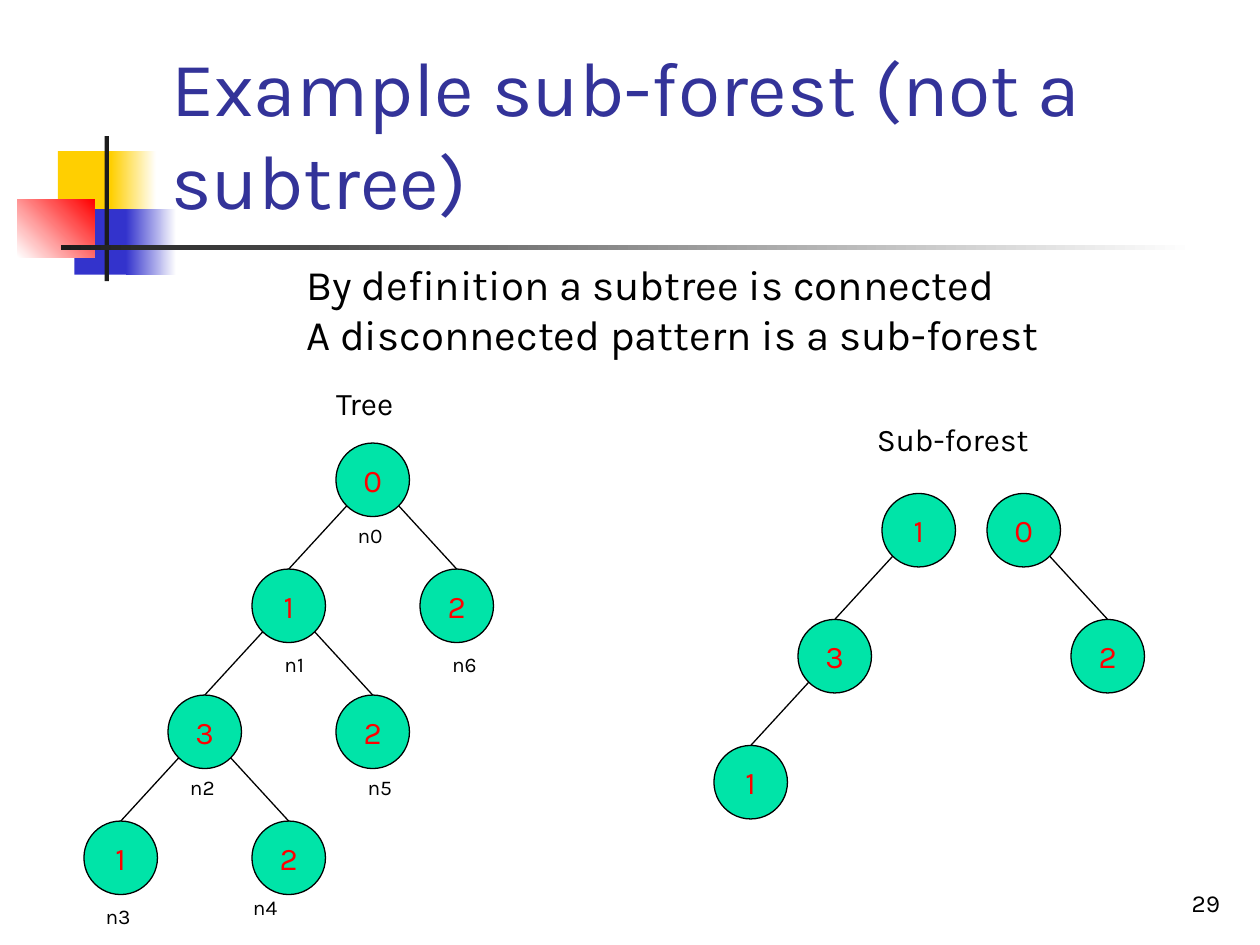
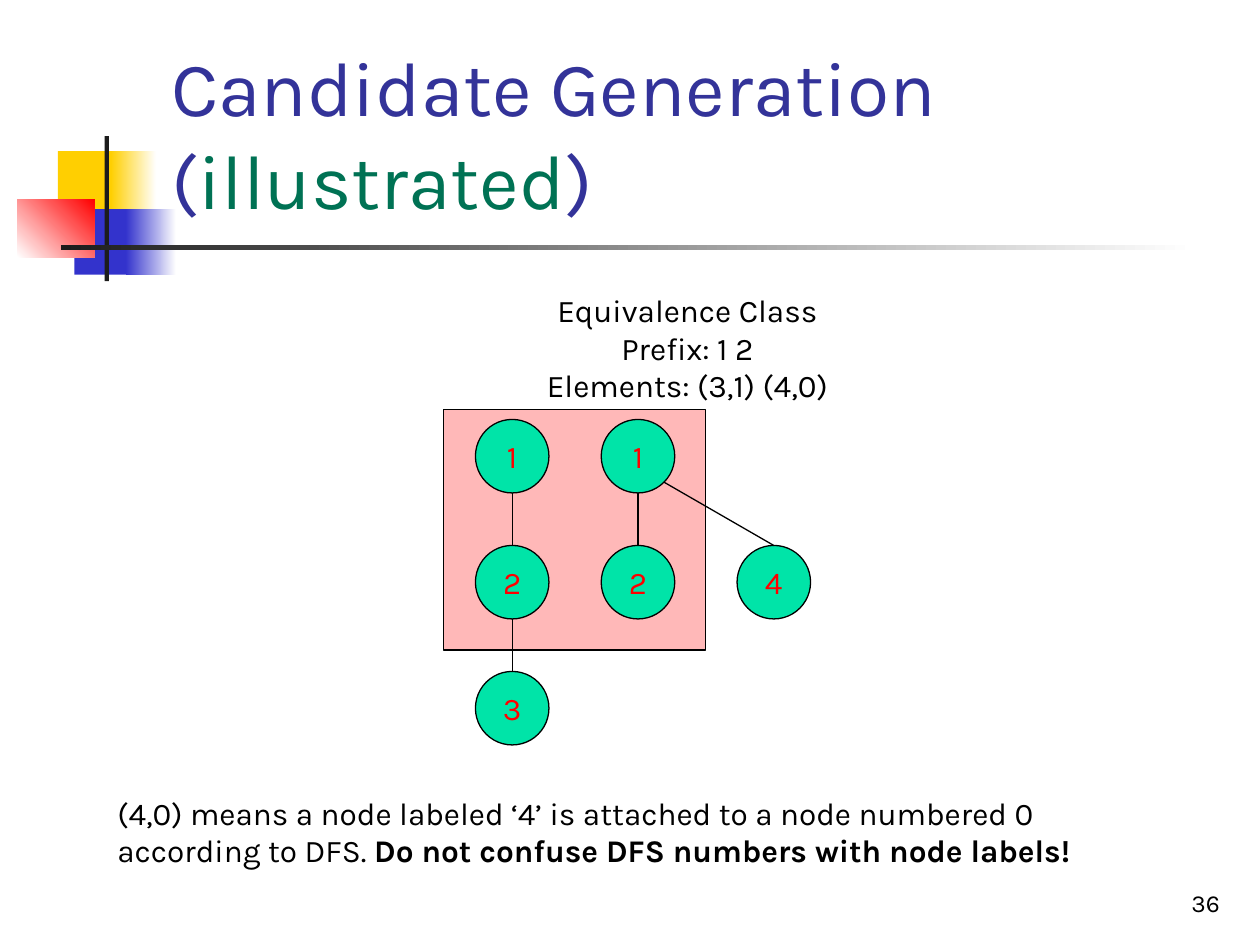
"""Build two slides on sub-forests and candidate generation in tree mining."""

import math
from typing import NamedTuple, Optional, Union

import pptx
import pptx.dml.color
import pptx.enum.shapes
import pptx.enum.text
import pptx.oxml.ns
import pptx.util
from lxml import etree

Pt = pptx.util.Pt
ALIGN = pptx.enum.text.PP_ALIGN
ANCHOR = pptx.enum.text.MSO_ANCHOR
SHAPES = pptx.enum.shapes.MSO_SHAPE

FONT = "Karla"
COLORS = {
    "white": "FFFFFF",
    "black": "000000",
    "title": "333399",
    "accent": "007254",
    "node": "00E4A8",
    "red": "FF0000",
    "yellow": "FFCF01",
    "blue": "3333CC",
    "rule": "1C1C1C",
}
NODE_SIZE = 42
LEVEL_STEP = 72
LINE_WIDTH = 0.75


class Box(NamedTuple):
    left: float
    top: float
    width: float
    height: float


class Band(NamedTuple):
    box: Box
    color: str
    fade_to: Optional[str] = None
    angle: float = 0


class Run(NamedTuple):
    text: str
    color: Optional[str] = None
    bold: bool = False


class Caption(NamedTuple):
    text: str
    left: float
    top: float


class Node(NamedTuple):
    label: str
    left: float
    level: int
    parent: Optional[int] = None
    caption: Optional[Caption] = None


Paragraph = Union[str, list[Run]]

BANDS = [
    Band(Box(33.1, 86.4, 34.6, 37.4), "yellow"),
    Band(Box(63.4, 86.4, 25.9, 37.4), "yellow", "white"),
    Band(Box(42.5, 119.5, 33.1, 37.4), "blue"),
    Band(Box(72, 119.5, 28.8, 37.4), "blue", "white"),
    Band(Box(10, 113.8, 44, 33.1), "white", "red", 45),
    Band(Box(59.8, 77.8, 2.5, 82.8), "rule"),
    Band(Box(34.8, 140.2, 648, 2.5), "rule", "white"),
]
TITLE_BOX = Box(90.7, 16.6, 613.4, 115.2)
NUMBER_BOX = Box(554.4, 491.8, 149.8, 36)

TREE = [
    Node("0", 192, 0, caption=Caption("n0", 197.3, 295.2)),
    Node("1", 144, 1, 0, Caption("n1", 155.5, 368.6)),
    Node("2", 240, 1, 0, Caption("n6", 251.3, 368.6)),
    Node("3", 96, 2, 1, Caption("n2", 101.5, 439.2)),
    Node("2", 192, 2, 1, Caption("n5", 203, 439.2)),
    Node("1", 48, 3, 3, Caption("n3", 53.3, 512.6)),
    Node("2", 144, 3, 3, Caption("n4", 137.5, 507.6)),
]
SUB_FOREST = [
    Node("1", 504, 0),
    Node("3", 456, 1, 0),
    Node("1", 408, 2, 1),
    Node("0", 564, 0),
    Node("2", 612, 1, 3),
]
EQUIVALENCE_CLASS = [
    Node("1", 271.7, 0),
    Node("2", 271.7, 1, 0),
    Node("3", 271.7, 2, 1),
    Node("1", 343.6, 0),
    Node("2", 343.6, 1, 3),
    Node("4", 421.2, 1, 3),
]


def rgb(name: str) -> pptx.dml.color.RGBColor:
    return pptx.dml.color.RGBColor.from_string(COLORS[name])


def write_text(frame, paragraphs: list[Paragraph], *, size: float = 18,
               color: str = "black", align=ALIGN.LEFT, anchor=ANCHOR.TOP,
               wrap: bool = False) -> None:
    frame.word_wrap = wrap
    frame.vertical_anchor = anchor
    for index, content in enumerate(paragraphs):
        paragraph = frame.paragraphs[0] if index == 0 else frame.add_paragraph()
        paragraph.alignment = align
        for piece in [Run(content)] if isinstance(content, str) else content:
            run = paragraph.add_run()
            run.text = piece.text
            run.font.name = FONT
            run.font.size = Pt(size)
            run.font.bold = piece.bold
            run.font.color.rgb = rgb(piece.color or color)


def add_text(slide, box: Box, paragraphs: list[Paragraph], **text_format) -> None:
    holder = slide.shapes.add_textbox(*map(Pt, box))
    write_text(holder.text_frame, paragraphs, **text_format)


def add_filled(slide, kind, box: Box, color: str, outlined: bool = False):
    shape = slide.shapes.add_shape(kind, *map(Pt, box))
    shape.shadow.inherit = False
    shape.fill.solid()
    shape.fill.fore_color.rgb = rgb(color)
    if outlined:
        shape.line.color.rgb = rgb("black")
        shape.line.width = Pt(LINE_WIDTH)
    else:
        shape.line.fill.background()
    return shape


def add_band(slide, band: Band) -> None:
    shape = add_filled(slide, SHAPES.RECTANGLE, band.box, band.color)
    if band.fade_to:
        shape.fill.gradient()
        shape.fill.gradient_angle = band.angle
        for stop, name in zip(shape.fill.gradient_stops, (band.color, band.fade_to)):
            stop.color.rgb = rgb(name)


def add_prefix_panel(slide, box: Box, opacity: int) -> None:
    panel = add_filled(slide, SHAPES.RECTANGLE, box, "red", outlined=True)
    fill_color = panel.fill._xPr.find(".//" + pptx.oxml.ns.qn("a:srgbClr"))
    alpha = etree.SubElement(fill_color, pptx.oxml.ns.qn("a:alpha"))
    alpha.set("val", str(opacity * 1000))


def add_edge(slide, parent: Node, child: Node, top: float) -> None:
    radius = NODE_SIZE / 2
    side = (child.left > parent.left) - (child.left < parent.left)
    turn = math.radians(45 * side)
    start_x = parent.left + radius * (1 + math.sin(turn))
    start_y = top + parent.level * LEVEL_STEP + radius * (1 + math.cos(turn))
    end_x = child.left + radius
    end_y = top + child.level * LEVEL_STEP
    edge = slide.shapes.add_connector(
        pptx.enum.shapes.MSO_CONNECTOR.STRAIGHT,
        *map(Pt, (start_x, start_y, end_x, end_y)))
    edge.line.color.rgb = rgb("black")
    edge.line.width = Pt(LINE_WIDTH)
    etree.SubElement(edge._element.spPr, pptx.oxml.ns.qn("a:effectLst"))


def add_tree(slide, nodes: list[Node], top: float) -> None:
    for node in nodes:
        box = Box(node.left, top + node.level * LEVEL_STEP, NODE_SIZE, NODE_SIZE)
        circle = add_filled(slide, SHAPES.OVAL, box, "node", outlined=True)
        write_text(circle.text_frame, [node.label], color="red",
                   align=ALIGN.CENTER, anchor=ANCHOR.MIDDLE)
        if node.parent is not None:
            add_edge(slide, nodes[node.parent], node, top)
        if node.caption:
            caption = node.caption
            add_text(slide, Box(caption.left, caption.top, 28.8, 21.6),
                     [caption.text], size=12)


def add_base(deck, title: Paragraph, number: int):
    slide = deck.slides.add_slide(deck.slide_layouts[6])
    for band in BANDS:
        add_band(slide, band)
    add_text(slide, TITLE_BOX, [title], size=44, color="title",
             anchor=ANCHOR.BOTTOM, wrap=True)
    add_text(slide, NUMBER_BOX, [str(number)], size=14, align=ALIGN.RIGHT,
             anchor=ANCHOR.BOTTOM, wrap=True)
    return slide


def build_sub_forest(deck) -> None:
    slide = add_base(deck, "Example sub-forest (not a subtree)", 29)
    add_text(slide, Box(167.8, 144, 441.4, 64.8), [
        "By definition a subtree is connected",
        "A disconnected pattern is a sub-forest",
    ], size=24)
    add_text(slide, Box(185, 216, 51.8, 28.8), ["Tree"])
    add_text(slide, Box(494, 236.2, 101.5, 28.8), ["Sub-forest"])
    add_tree(slide, TREE, 253.2)
    add_tree(slide, SUB_FOREST, 282)


def build_candidate_generation(deck) -> None:
    title = [Run("Candidate Generation ("), Run("illustrated", "accent"), Run(")")]
    slide = add_base(deck, title, 36)
    add_prefix_panel(slide, Box(253.6, 234, 149.4, 137.5), 28)
    add_tree(slide, EQUIVALENCE_CLASS, 239.7)
    add_text(slide, Box(185.8, 162.7, 414, 72), [
        "Equivalence Class",
        "Prefix: 1 2",
        "Elements: (3,1) (4,0)",
    ], align=ALIGN.CENTER, wrap=True)
    add_text(slide, Box(60, 450, 624, 50.4), [[
        Run("(4,0) means a node labeled ‘4’ is attached to a node numbered 0 "
            "according to DFS. "),
        Run("Do not confuse DFS numbers with node labels!", bold=True),
    ]], wrap=True)


def main() -> None:
    deck = pptx.Presentation()
    deck.slide_width, deck.slide_height = Pt(720), Pt(540)
    build_sub_forest(deck)
    build_candidate_generation(deck)
    deck.save("out.pptx")


if __name__ == "__main__":
    main()
